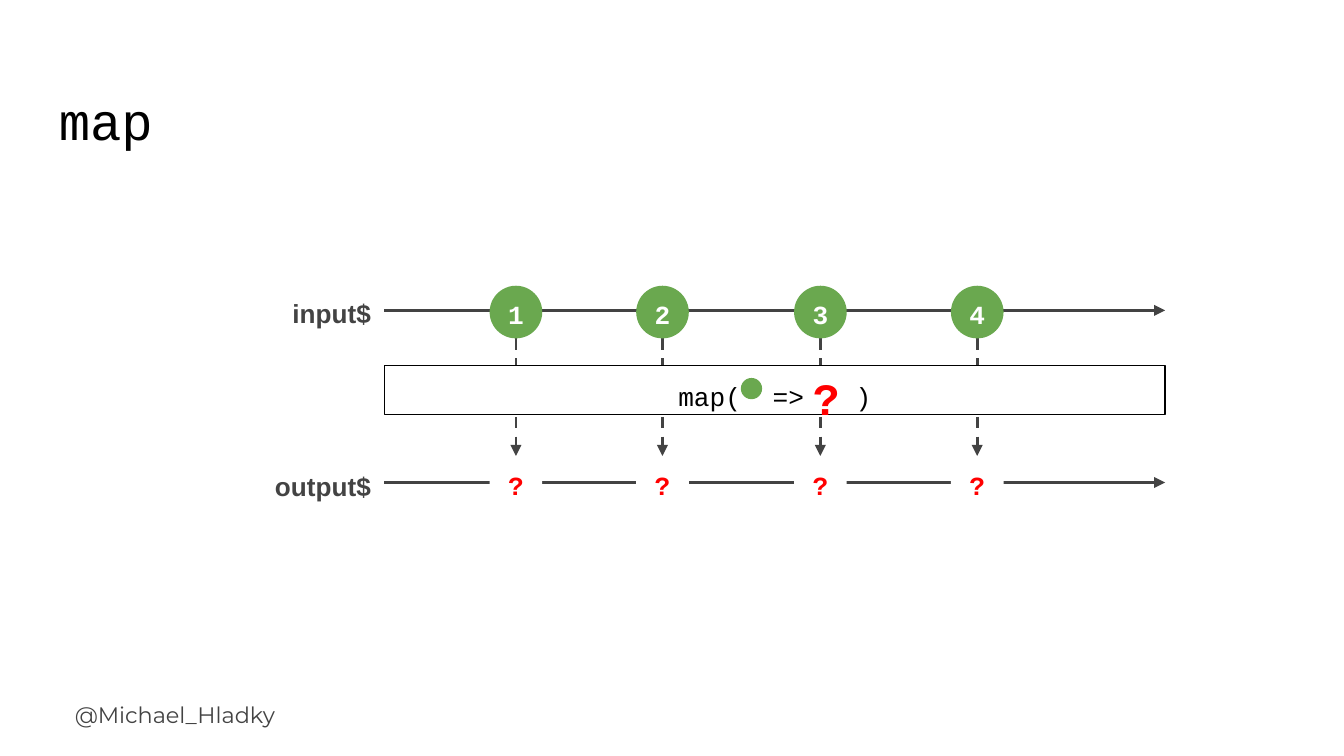
from pptx import Presentation
from pptx.util import Pt
from pptx.dml.color import RGBColor
from pptx.enum.dml import MSO_LINE as Dash
from pptx.enum.shapes import MSO_SHAPE as Kind, MSO_CONNECTOR as Conn
from pptx.enum.text import PP_ALIGN as Align, MSO_ANCHOR as Anchor
from pptx.oxml.ns import qn
from lxml import etree

GRAY = RGBColor(0x43, 0x43, 0x43)
GREEN = RGBColor(0x6A, 0xA8, 0x4F)
RED = RGBColor(0xFF, 0, 0)
BLACK = RGBColor(0, 0, 0)
WHITE = RGBColor(0xFF, 0xFF, 0xFF)
MONO = "Courier New"

deck = Presentation()
deck.slide_width, deck.slide_height = Pt(720), Pt(405)
slide = deck.slides.add_slide(deck.slide_layouts[6])
shapes = slide.shapes


def add_box(x, y, w, h, runs, kind=None, fill=None, pad=7.2,
            align=Align.CENTER, anchor=Anchor.MIDDLE, lead=1.15):
    """Runs hold text, size, font, colour, bold and letter spacing."""
    area = Pt(x), Pt(y), Pt(w), Pt(h)
    if kind is None:
        box = shapes.add_textbox(*area)
    else:
        box = shapes.add_shape(kind, *area)
        box.shadow.inherit = False
        box.fill.solid()
        box.fill.fore_color.rgb = fill
        box.line.fill.background()
    frame = box.text_frame
    frame.word_wrap = True
    frame.vertical_anchor = anchor
    frame.margin_left = frame.margin_right = Pt(pad)
    frame.margin_top = frame.margin_bottom = Pt(pad)
    para = frame.paragraphs[0]
    para.alignment = align
    para.line_spacing = lead
    for text, size, face, color, bold, gap in runs:
        run = para.add_run()
        run.text = text
        font = run.font
        font.size, font.name, font.bold = Pt(size), face, bold
        font.color.rgb = color
        if gap:
            run._r.get_or_add_rPr().set("spc", str(round(gap * 100)))
    return box


def add_arrow(x1, y1, x2, y2, dash=None):
    line = shapes.add_connector(Conn.STRAIGHT, Pt(x1), Pt(y1), Pt(x2), Pt(y2))
    line.line.color.rgb = GRAY
    line.line.width = Pt(1.5)
    if dash:
        line.line.dash_style = dash
    props = line._element.spPr
    etree.SubElement(props.find(qn("a:ln")), qn("a:tailEnd"), type="triangle")
    etree.SubElement(props, qn("a:effectLst"))


# Title and footer
add_box(24.5, 35.3, 621.4, 45.4, [("map", 28, MONO, BLACK, False, 0)],
        align=Align.LEFT, anchor=Anchor.TOP)
add_box(33, 368.6, 161.3, 32.4,
        [("@Michael_Hladky", 12, "Montserrat", GRAY, False, 0)],
        align=Align.LEFT, anchor=Anchor.TOP, lead=1)

# Timelines with their labels
LEFT, RIGHT = 205.9, 624.2
for name, axis, top in (("input$", 166.3, 148.5), ("output$", 258.5, 241)):
    add_arrow(LEFT, axis, RIGHT, axis)
    add_box(34, top, LEFT - 34, 36, [(name, 14, "Arial", GRAY, True, 0)],
            align=Align.RIGHT)

# Values, drop lines and results
SIZE, IN_TOP, OUT_TOP = 28.2, 153.1, 244.3
for num, mid in enumerate((276.4, 354.9, 439.5, 523.5), 1):
    add_arrow(mid, IN_TOP + SIZE, mid, OUT_TOP, Dash.DASH)
    for text, top, kind, fill, color in (
            (str(num), IN_TOP, Kind.OVAL, GREEN, WHITE),
            ("?", OUT_TOP, Kind.RECTANGLE, WHITE, RED)):
        add_box(mid - SIZE / 2, top, SIZE, SIZE,
                [(text, 14, MONO, color, True, 0)], kind, fill, pad=0)

# Operator bar: spaced gaps leave room for the dot and the question mark
bar = add_box(LEFT, 195.7, RIGHT - LEFT, 26.5, [
    ("map(", 14, MONO, BLACK, False, 0),
    (" ", 14, MONO, BLACK, False, 8.4),
    ("=>", 14, MONO, BLACK, False, 0),
    (" ", 18, MONO, RED, True, 16.8),
    (")", 14, MONO, BLACK, False, 0),
], Kind.RECTANGLE, WHITE)
bar.line.color.rgb = BLACK
bar.line.width = Pt(0.75)
add_box(396.9, 202.5, 11.4, 11.4, [], Kind.OVAL, GREEN)
add_box(425.3, 193, 34.6, 36, [("?", 24, MONO, RED, True, 0)])

deck.save("out.pptx")
